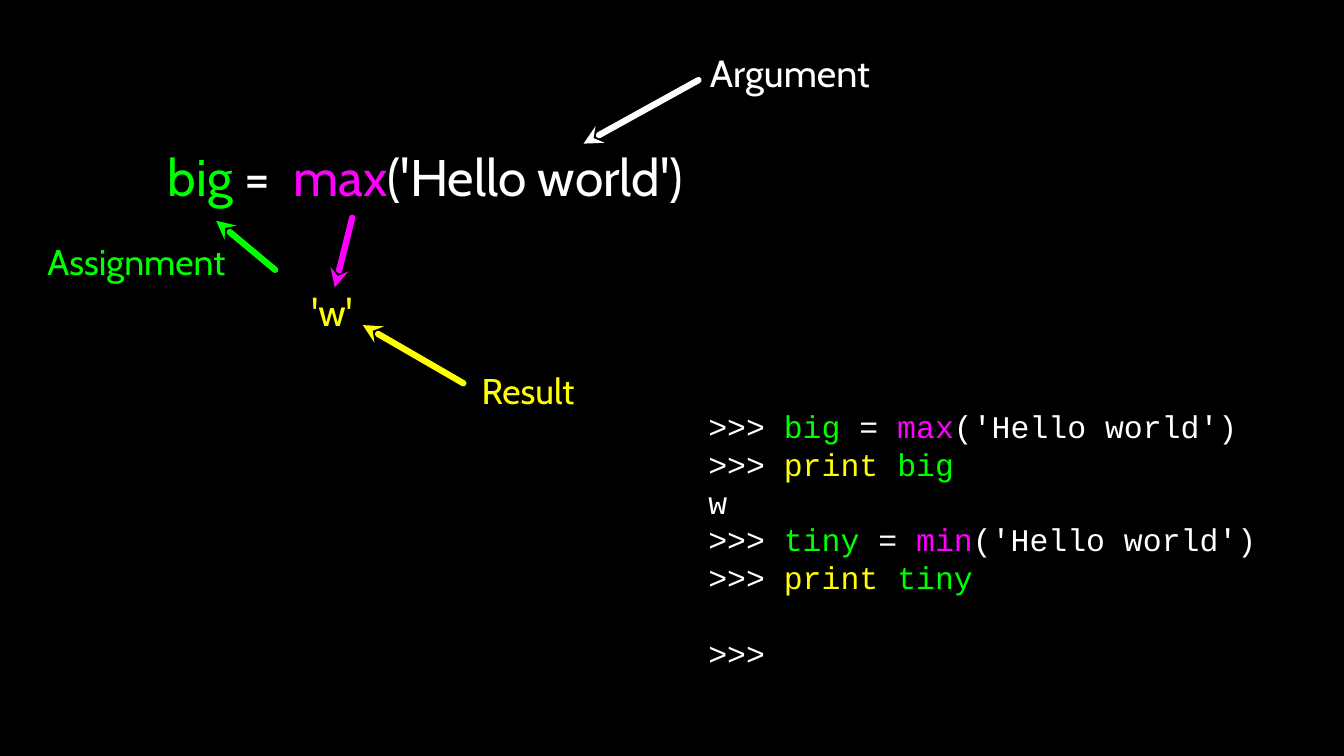
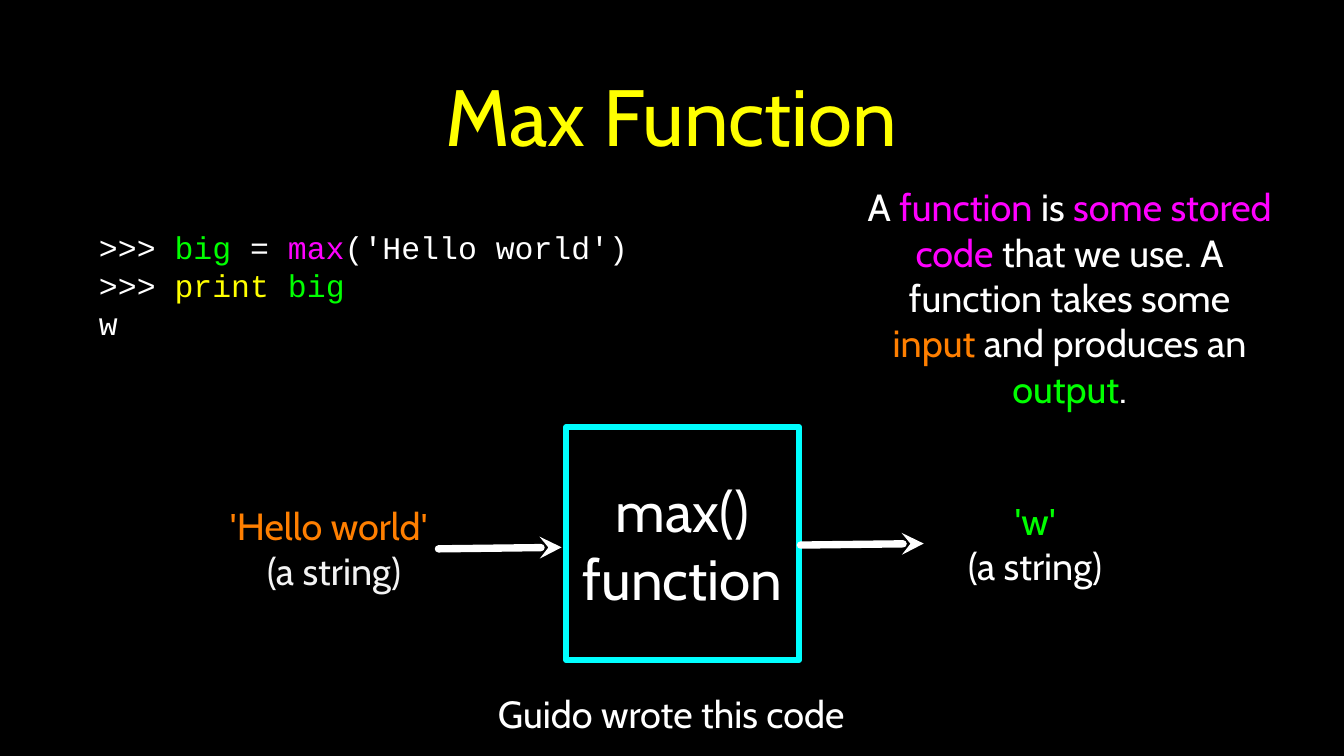
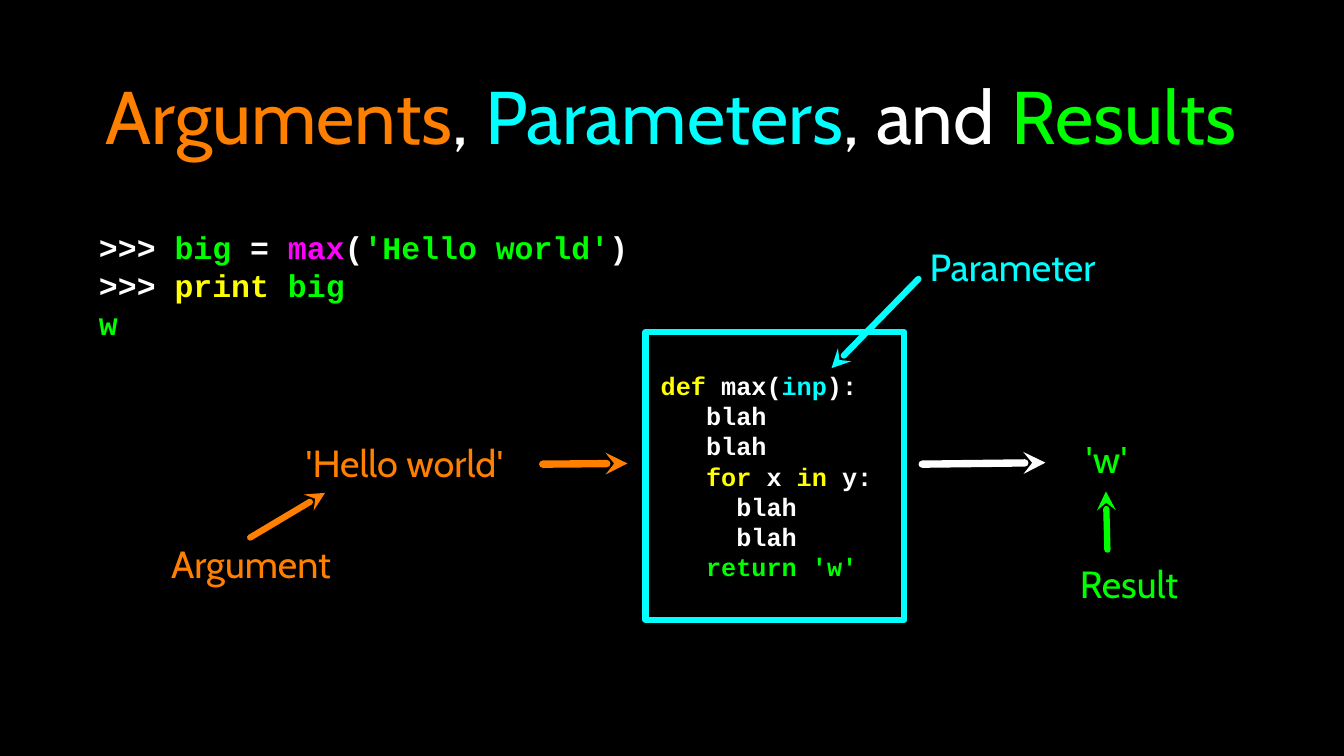
from dataclasses import dataclass

from lxml import etree
from pptx import Presentation
from pptx.dml.color import RGBColor
from pptx.enum.shapes import MSO_CONNECTOR, MSO_SHAPE
from pptx.enum.text import MSO_ANCHOR, PP_ALIGN
from pptx.oxml.ns import qn
from pptx.util import Pt

PX = 9144  # EMU in one px, 100 px to the inch
SLIDE_WIDTH, SLIDE_HEIGHT = 1778, 1000

BLACK = RGBColor(0x00, 0x00, 0x00)
WHITE = RGBColor(0xFF, 0xFF, 0xFF)
PALE = RGBColor(0xF3, 0xF3, 0xF3)
GREEN = RGBColor(0x00, 0xFF, 0x00)
MAGENTA = RGBColor(0xFF, 0x00, 0xFF)
YELLOW = RGBColor(0xFF, 0xFF, 0x00)
CYAN = RGBColor(0x00, 0xFF, 0xFF)
ORANGE = RGBColor(0xFF, 0x7F, 0x00)

BODY_FONT, QUOTE_FONT, CODE_FONT = "Cabin", "Arial", "Courier New"
CODE_LINE_HEIGHT = 1.2
CODE_CHARACTER_WIDTH = 0.6
BORDER_WIDTH = 6

LEFT, CENTER = PP_ALIGN.LEFT, PP_ALIGN.CENTER
MIDDLE = MSO_ANCHOR.MIDDLE
RECTANGLE = MSO_SHAPE.RECTANGLE
STRAIGHT = MSO_CONNECTOR.STRAIGHT


@dataclass
class Block:
    """Lines of (text, colour[, font]) runs; an empty line leaves a gap."""
    box: tuple
    size: int
    lines: list
    align: PP_ALIGN = CENTER
    font: str = BODY_FONT
    bold: bool = False
    border: RGBColor = None
    indents: tuple = ()  # in characters, one for each line


@dataclass
class Arrow:
    tip: tuple
    tail: tuple
    color: RGBColor
    width: int = 6


def title(size, *runs):
    return Block((126, 26, 1524, 251), size, [runs])


def label(box, text, color, size=36, align=CENTER):
    return Block(box, size, [[(text, color)]], align)


def code(box, lines, size=30, **options):
    return Block(box, size, lines, LEFT, CODE_FONT, **options)


def quoted(text, color, closing="'"):
    return [("'", color, QUOTE_FONT), (text, color), (closing, color, QUOTE_FONT)]


def assignment(name, function, *argument):
    return [(">>> ", WHITE), (name, GREEN), (" = ", WHITE), (function, MAGENTA), *argument]


def print_call(name):
    return [(">>> ", WHITE), ("print ", YELLOW), (name, GREEN)]


GREETING = ("('Hello world')", WHITE)
GREEN_GREETING = [("(", WHITE), ("'Hello world'", GREEN), (")", WHITE)]
INPUT = quoted("Hello world", ORANGE, "' ")
OUTPUT = quoted("w", GREEN)

CALL_ANATOMY = [
    code((937, 533, 764, 361), [
        assignment("big", "max", GREETING),
        print_call("big"),
        [("w", WHITE)],
        assignment("tiny", "min", GREETING),
        print_call("tiny"),
        [],
        [(">>>", WHITE)],
    ]),
    Block((222, 188, 742, 89), 49,
          [[("big", GREEN), (" =  ", WHITE), ("max", MAGENTA), GREETING]], LEFT),
    label((937, 62, 216, 68), "Argument", WHITE),
    Arrow((772, 190), (924, 106), WHITE),
    label((412, 378, 67, 68), "'w'", YELLOW, align=LEFT),
    Arrow((480, 430), (613, 507), YELLOW),
    label((629, 482, 139, 68), "Result", YELLOW, 34),
    Arrow((286, 292), (364, 357), GREEN),
    label((37, 312, 287, 68), "Assignment", GREEN, 34),
    Arrow((443, 380), (466, 288), MAGENTA),
]

MAX_FUNCTION = [
    title(76, ("Max Function", YELLOW)),
    code((131, 286, 780, 182),
         [assignment("big", "max", GREETING), print_call("big"), [("w", WHITE)]]),
    Block((749, 565, 308, 308), 54,
          [[("max()", WHITE)], [("function", WHITE)]], border=CYAN),
    Arrow((743, 724), (580, 726), WHITE, 7),
    Block((286, 662, 312, 125), 36, [INPUT, [("(a string)", PALE)]]),
    Block((1273, 656, 193, 125), 36, [OUTPUT, [("(a string)", WHITE)]]),
    Arrow((1222, 719), (1059, 721), WHITE, 7),
    Block((1145, 274, 540, 239), 36, [[
        ("A ", WHITE), ("function", MAGENTA), (" is ", WHITE),
        ("some stored code", MAGENTA),
        (" that we use. A function takes some ", WHITE), ("input", ORANGE),
        (" and produces an ", WHITE), ("output", GREEN), (".", WHITE),
    ]]),
    label((651, 910, 474, 68), "Guido wrote this code", WHITE),
]

ARGUMENTS_AND_RESULTS = [
    title(71, ("Arguments", ORANGE), (", ", WHITE), ("Parameters", CYAN),
          (", and ", WHITE), ("Results", GREEN)),
    code((131, 286, 826, 182),
         [assignment("big", "max", *GREEN_GREETING), print_call("big"), [("w", GREEN)]],
         bold=True),
    code((854, 439, 342, 381), [
        [("def", YELLOW), (" max(", WHITE), ("inp", CYAN), ("):", WHITE)],
        [("blah", WHITE)],
        [("blah", WHITE)],
        [("for", YELLOW), (" x ", WHITE), ("in", YELLOW), (" y:", WHITE)],
        [("blah", WHITE)],
        [("blah", WHITE)],
        [("return 'w'", GREEN)],
    ], size=24, bold=True, border=CYAN, indents=(1, 4, 4, 4, 6, 6, 4)),
    Arrow((830, 613), (718, 614), ORANGE, 7),
    Block((386, 578, 312, 68), 36, [INPUT]),
    Block((1429, 572, 70, 68), 36, [OUTPUT]),
    Arrow((1383, 612), (1220, 614), WHITE, 7),
    label((224, 711, 216, 68), "Argument", ORANGE),
    Arrow((430, 652), (331, 711), ORANGE),
    label((1228, 318, 223, 68), "Parameter", CYAN),
    Arrow((1100, 487), (1215, 369), CYAN),
    label((1424, 738, 139, 68), "Result", GREEN),
    Arrow((1463, 650), (1465, 727), GREEN),
]

SLIDES = [CALL_ANATOMY, MAX_FUNCTION, ARGUMENTS_AND_RESULTS]


def to_emu(lengths):
    return [length * PX for length in lengths]


def write_lines(text_frame, block):
    line_height = Pt(block.size * CODE_LINE_HEIGHT)
    paragraph, gap = text_frame.paragraphs[0], 0
    for index, line in enumerate(block.lines):
        if not line:
            gap += line_height
            continue
        if index:
            paragraph = text_frame.add_paragraph()
        paragraph.alignment = block.align
        if block.font == CODE_FONT:
            paragraph.line_spacing = line_height
        if gap:
            paragraph.space_before, gap = gap, 0
        if block.indents:
            indent = Pt(block.indents[index] * block.size * CODE_CHARACTER_WIDTH)
            properties = paragraph._p.get_or_add_pPr()
            properties.set("marL", str(indent))
            properties.set("indent", "0")
        for text, color, *fonts in line:
            run = paragraph.add_run()
            run.text = text
            run.font.name = fonts[0] if fonts else block.font
            run.font.size = Pt(block.size)
            run.font.bold = block.bold
            run.font.color.rgb = color


def add_block(slide, block):
    box = to_emu(block.box)
    if block.border is None:
        shape = slide.shapes.add_textbox(*box)
    else:
        shape = slide.shapes.add_shape(RECTANGLE, *box)
        shape.shadow.inherit = False
        shape.fill.background()
        shape.line.color.rgb = block.border
        shape.line.width = Pt(BORDER_WIDTH)
        etree.SubElement(shape.line._get_or_add_ln(), qn("a:round"))
    text_frame = shape.text_frame
    text_frame.word_wrap = True
    text_frame.vertical_anchor = MIDDLE
    text_frame.margin_left = text_frame.margin_right = 0
    text_frame.margin_top = text_frame.margin_bottom = 0
    write_lines(text_frame, block)


def add_arrow(slide, arrow):
    connector = slide.shapes.add_connector(STRAIGHT, *to_emu(arrow.tip + arrow.tail))
    connector.line.color.rgb = arrow.color
    connector.line.width = Pt(arrow.width)
    line = connector.line._get_or_add_ln()
    line.set("cap", "rnd")
    etree.SubElement(line, qn("a:round"))
    etree.SubElement(line, qn("a:headEnd"), type="stealth", w="med", len="med")
    etree.SubElement(line.getparent(), qn("a:effectLst"))


def main():
    presentation = Presentation()
    presentation.slide_width, presentation.slide_height = to_emu((SLIDE_WIDTH, SLIDE_HEIGHT))
    background = presentation.slide_master.background.fill
    background.solid()
    background.fore_color.rgb = BLACK
    blank_layout = presentation.slide_layouts[6]
    for parts in SLIDES:
        slide = presentation.slides.add_slide(blank_layout)
        for part in parts:
            if isinstance(part, Arrow):
                add_arrow(slide, part)
            else:
                add_block(slide, part)
    presentation.save("out.pptx")


if __name__ == "__main__":
    main()
